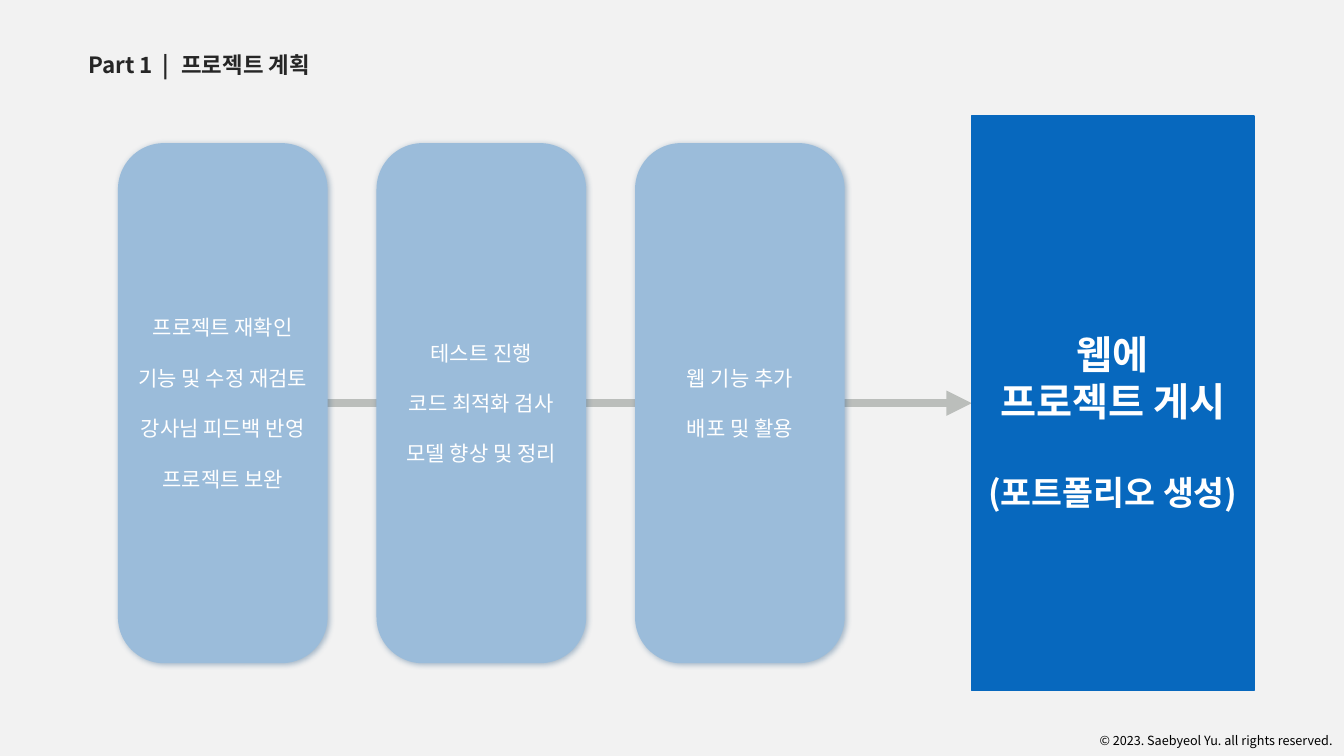
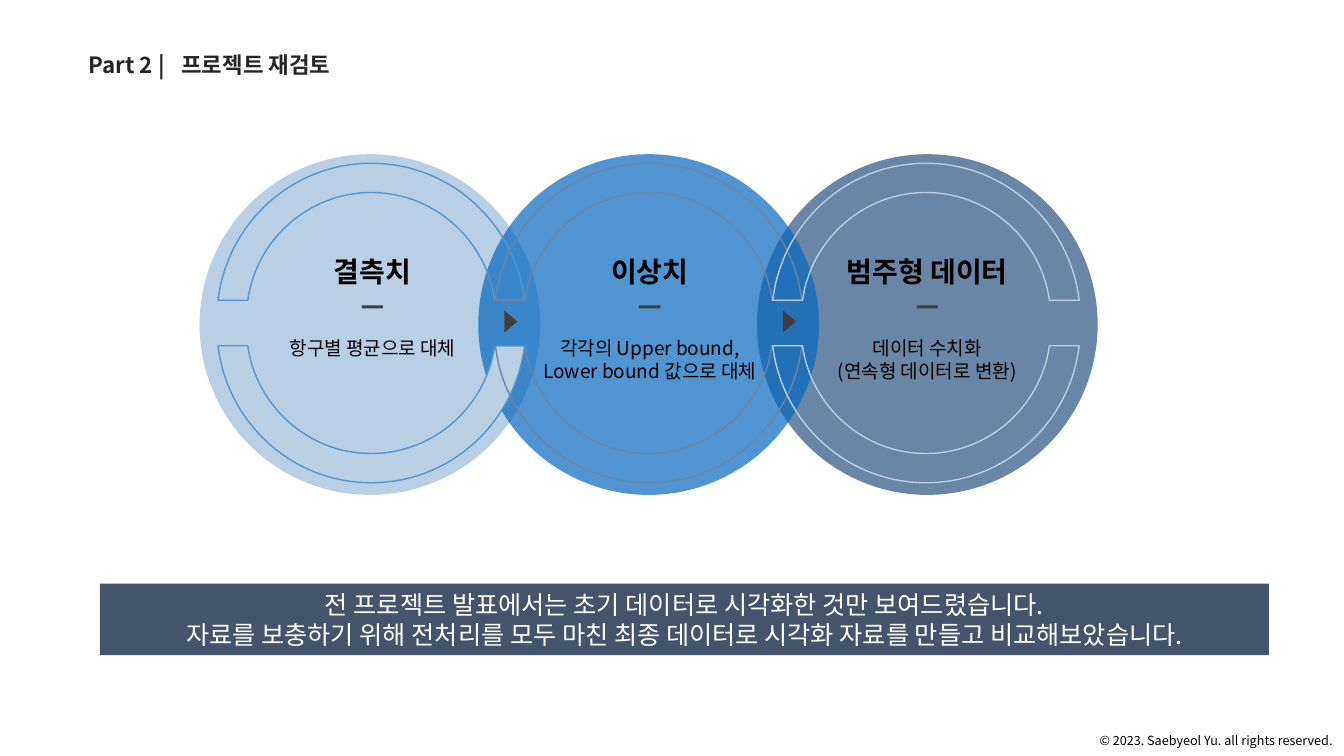
from dataclasses import dataclass

from lxml import etree
from pptx import Presentation
from pptx import util as u
from pptx.dml.color import RGBColor
from pptx.enum import shapes as kinds
from pptx.enum import text as t
from pptx.oxml import ns

CELL = u.Inches(1) / 12
COLUMNS, ROWS = 160, 90
FONT = "Noto Sans CJK KR"
COPYRIGHT = "© 2023. Saebyeol Yu. all rights reserved."

WHITE = RGBColor(0xFF, 0xFF, 0xFF)
BLACK = RGBColor(0x00, 0x00, 0x00)
PALE_GRAY = RGBColor(0xF2, 0xF2, 0xF2)
INK = RGBColor(0x26, 0x26, 0x26)
CHARCOAL = RGBColor(0x3F, 0x3F, 0x3F)
ARROW_GRAY = RGBColor(0xBB, 0xBE, 0xBB)
BLUE = RGBColor(0x07, 0x68, 0xBE)
NAVY = RGBColor(0x2A, 0x53, 0x81)
LIGHT_BLUE = RGBColor(0x9B, 0xBC, 0xDA)
SHADOW_BLUE = RGBColor(0x32, 0x5F, 0x88)
PALE_BLUE = RGBColor(0xB9, 0xD0, 0xE5)
MID_BLUE = RGBColor(0x51, 0x95, 0xD1)
STEEL = RGBColor(0x69, 0x86, 0xA7)
SLATE = RGBColor(0x44, 0x54, 0x6A)

HEADING = dict(size=16, color=INK, bold=True, align=t.PP_ALIGN.LEFT, wrap=False)


@dataclass
class Box:
    col: float
    row: float
    cols: float
    rows: float

    def emu(self):
        return [round(v * CELL) for v in (self.col, self.row, self.cols, self.rows)]

    def center(self):
        return self.col + self.cols / 2, self.row + self.rows / 2


def around(x, row, cols, rows):
    return Box(x - cols / 2, row, cols, rows)


def add_xml(parent, tag, **attributes):
    return etree.SubElement(parent, ns.qn(tag), attributes)


def write(frame, lines, size=16, color=BLACK, bold=False, align=t.PP_ALIGN.CENTER,
          anchor=t.MSO_ANCHOR.MIDDLE, gap=0, wrap=True, inset=0.1):
    frame.word_wrap = wrap
    frame.auto_size = t.MSO_AUTO_SIZE.NONE
    frame.vertical_anchor = anchor
    frame.margin_left = frame.margin_right = u.Inches(inset)
    frame.margin_top = frame.margin_bottom = u.Inches(0.05)
    for number, line in enumerate(lines):
        paragraph = frame.add_paragraph() if number else frame.paragraphs[0]
        paragraph.alignment = align
        paragraph.line_spacing = u.Pt(round(size * 1.2, 1))
        paragraph.space_before = u.Pt(gap if number else 0)
        run = paragraph.add_run()
        run.text = line
        run.font.size = u.Pt(size)
        run.font.bold = bold
        run.font.color.rgb = color
        run.font.name = FONT
        run.font._element.set("kern", "0")
        add_xml(run.font._element, "a:ea", typeface=FONT)
    return frame.paragraphs


def label(slide, box, lines, **style):
    area = slide.shapes.add_textbox(*box.emu())
    write(area.text_frame, lines, **style)
    return area


def paint(shape, fill=None, line=None, alpha=None):
    shape.shadow.inherit = False
    if fill is None:
        shape.fill.background()
    else:
        shape.fill.solid()
        shape.fill.fore_color.rgb = fill
    if alpha:
        tint = shape._element.spPr.find(ns.qn("a:solidFill"))[0]
        add_xml(tint, "a:alpha", val=str(alpha * 1000))
    if line is None:
        shape.line.fill.background()
    else:
        shape.line.color.rgb = line
        shape.line.width = u.Pt(1)
    return shape


def block(slide, kind, box, **look):
    return paint(slide.shapes.add_shape(kind, *box.emu()), **look)


def outline(slide, start, segments, **look):
    def emu(point):
        return [round(v * CELL) for v in point]

    builder = slide.shapes.build_freeform(*emu(start))
    builder.add_line_segments([emu(segment[-1]) for segment in segments], close=True)
    shape = builder.convert_to_shape()
    steps = list(shape._element.iter(ns.qn("a:lnTo")))
    for step, segment in zip(steps, segments):
        if len(segment) == 3:
            step.tag = ns.qn("a:cubicBezTo")
            for place, handle in enumerate(segment[:2]):
                x, y = emu(handle)
                point = etree.Element(ns.qn("a:pt"), x=str(x - shape.left),
                                      y=str(y - shape.top))
                step.insert(place, point)
    return paint(shape, **look)


def soft_shadow(shape):
    effects = shape._element.spPr.find(ns.qn("a:effectLst"))
    shadow = add_xml(effects, "a:outerShdw", blurRad=str(u.Pt(4)), dist=str(u.Pt(1)),
                     dir="2700000", algn="tl", rotWithShape="0")
    tint = add_xml(shadow, "a:srgbClr", val=str(SHADOW_BLUE))
    add_xml(tint, "a:alpha", val="40000")


def prepare_layout(deck):
    layout = deck.slide_layouts.get_by_name("Title Only")
    heading = layout.placeholders[0]
    heading.left, heading.top, heading.width, heading.height = Box(20.4, 5.52, 21.6, 4.44).emu()
    return layout


def add_footer(layout, slide):
    footer = label(slide, Box(129.72, 86.64, 30.24, 3), [COPYRIGHT], size=9,
                   align=t.PP_ALIGN.LEFT, wrap=False)
    layout.shapes._spTree.append(footer._element)


def new_slide(deck, layout, background, part, topic):
    slide = deck.slides.add_slide(layout)
    slide.background.fill.solid()
    slide.background.fill.fore_color.rgb = background
    write(slide.shapes.title.text_frame, [topic], **HEADING)
    part_label = label(slide, Box(9.36, 5.52, 12.24, 4.44), [part], **HEADING)
    properties = part_label.text_frame.paragraphs[0]._p.get_or_add_pPr()
    stops = add_xml(properties, "a:tabLst")
    add_xml(stops, "a:tab", pos=str(round(8.76 * CELL)), algn="l")
    return slide


def plan_flow(slide, box, stages, goal_lines):
    axis = box.center()[1]
    right = box.col + box.cols
    track = slide.shapes.add_connector(
        kinds.MSO_CONNECTOR.STRAIGHT, *Box(box.col, axis, right - 33.6, axis).emu())
    track.line.color.rgb = ARROW_GRAY
    track.line.width = u.Pt(6)
    add_xml(track.line._get_or_add_ln(), "a:tailEnd", type="triangle")
    add_xml(track._element.spPr, "a:effectLst")

    goal = block(slide, kinds.MSO_SHAPE.RECTANGLE,
                 Box(right - 33.6, box.row, 33.6, box.rows), fill=BLUE, line=BLUE)
    closing = write(goal.text_frame, goal_lines, size=28, color=WHITE, bold=True)[-1]
    goal.text_frame.margin_top = u.Inches(0.41)
    closing.space_before = u.Pt(34)
    closing.line_spacing = u.Pt(28.8)
    closing.runs[0].font.size = u.Pt(24)

    cards = []
    for number, tasks in enumerate(stages):
        place = Box(box.col + 30.78 * number, box.row + 3.24, 24.96, box.rows - 6.48)
        card = block(slide, kinds.MSO_SHAPE.ROUNDED_RECTANGLE, place, fill=LIGHT_BLUE)
        card.adjustments[0] = 0.22
        soft_shadow(card)
        write(card.text_frame, tasks, size=15, color=WHITE, gap=18, inset=0)
        cards.append(card)
    track.begin_connect(cards[0], 1)
    track.end_connect(goal, 1)


def half_ring(slide, center, side, **look):
    outer = [(18.24, 2.7), (17.16, 11.82), (9.48, 19.02), (0, 19.02)]
    inner = [(14.7, 2.7), (13.68, 9.96), (7.44, 15.54), (0, 15.54)]

    def place(points, hand):
        return [(center[0] + hand * x, center[1] + side * y) for x, y in points]

    right, left = place(outer, 1), place(outer, -1)
    inner_right, inner_left = place(inner, 1), place(inner, -1)
    outline(slide, right[0], [right[1:], left[2::-1], inner_left[:1], inner_left[1:],
                              inner_right[2::-1]], **look)


def review_chain(slide, box, topics):
    size = box.rows
    step = (box.cols - size) / (len(topics) - 1)
    places = [Box(box.col + step * n, box.row, size, size) for n in range(len(topics))]
    middle = box.center()[1]

    for number in (2, 0, 1):
        block(slide, kinds.MSO_SHAPE.OVAL, places[number],
              fill=topics[number]["fill"], alpha=70)
    for place in places[:-1]:
        left, top = place.center()[0] + 16, middle - 1.68
        outline(slide, (left, top), [[(left + 1.56, top + 1.32)], [(left, top + 2.64)]],
                fill=CHARCOAL)
    for number, topic in enumerate(topics):
        x = places[0].center()[0] + 0.3 + 33.02 * number
        for side, fill in ((1, topic.get("lower")), (-1, None)):
            half_ring(slide, (x - 0.14, middle - 0.18), side,
                      fill=fill, line=topic["ring"])
        block(slide, kinds.MSO_SHAPE.RECTANGLE, around(x, middle - 2.28, 2.52, 0.36),
              fill=CHARCOAL)
        label(slide, around(x, middle - 9, 24.24, 5.28), [topic["name"]],
              size=20, bold=True)
        label(slide, around(x, middle + 0.84, topic["width"], 6.72), topic["detail"],
              size=13.6, anchor=t.MSO_ANCHOR.TOP)


def summary_band(slide, box, lines):
    band = block(slide, kinds.MSO_SHAPE.RECTANGLE, box, fill=SLATE)
    write(band.text_frame, lines, size=18, color=WHITE)


def main():
    deck = Presentation()
    deck.slide_width = round(COLUMNS * CELL)
    deck.slide_height = round(ROWS * CELL)
    layout = prepare_layout(deck)

    plan = new_slide(deck, layout, PALE_GRAY, "Part 1\t|", "프로젝트 계획")
    add_footer(layout, plan)
    plan_flow(plan, Box(14.04, 13.8, 135.24, 68.4), [
        ["프로젝트 재확인", "기능 및 수정 재검토", "강사님 피드백 반영", "프로젝트 보완"],
        ["테스트 진행", "코드 최적화 검사", "모델 향상 및 정리"],
        ["웹 기능 추가", "배포 및 활용"],
    ], ["웹에", "프로젝트 게시", "(포트폴리오 생성)"])

    review = new_slide(deck, layout, WHITE, "Part 2 |", "프로젝트 재검토")
    review_chain(review, Box(23.76, 18.36, 106.92, 40.56), [
        dict(name="결측치", detail=["항구별 평균으로 대체"], width=24.6,
             fill=LIGHT_BLUE, ring=MID_BLUE, lower=PALE_BLUE),
        dict(name="이상치", detail=["각각의 Upper bound,", "Lower bound 값으로 대체"],
             width=28.2, fill=BLUE, ring=STEEL),
        dict(name="범주형 데이터", detail=["데이터 수치화", "(연속형 데이터로 변환)"],
             width=24.6, fill=NAVY, ring=PALE_BLUE),
    ])
    summary_band(review, Box(11.88, 69.48, 139.2, 8.52), [
        "전 프로젝트 발표에서는 초기 데이터로 시각화한 것만 보여드렸습니다.",
        "자료를 보충하기 위해 전처리를 모두 마친 최종 데이터로 시각화 자료를 만들고 비교해보았습니다.",
    ])
    deck.save("out.pptx")


if __name__ == "__main__":
    main()
